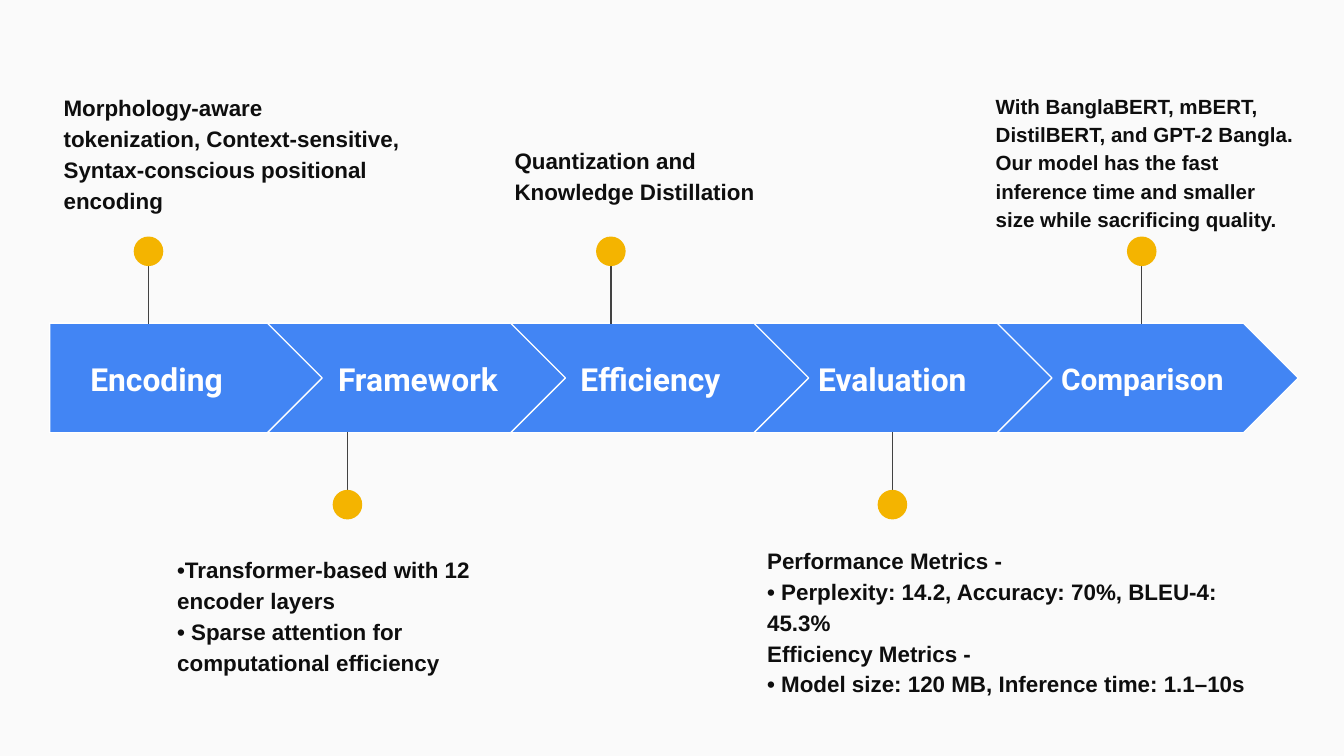
import dataclasses

import lxml.etree
import pptx
import pptx.dml.color
import pptx.enum.shapes
import pptx.enum.text
import pptx.oxml.ns
import pptx.util

SCALE = 4572


@dataclasses.dataclass(frozen=True)
class Theme:
    """Colours, fonts and type sizes of the slide."""

    background: str = "FAFAFA"
    step: str = "4285F4"
    label: str = "FFFFFF"
    pin: str = "F4B400"
    stem: str = "424242"
    note: str = "0E0E0E"
    label_font: str = "Roboto"
    note_font: str = "Arial"
    label_size: int = 17
    small_label_size: int = 16
    note_size: int = 12
    small_note_size: int = 11
    line_width: float = 0.75


@dataclasses.dataclass(frozen=True)
class Step:
    """One step of the process; label, pin and note start at its top left."""

    label: str
    label_left: int
    pin_left: int
    below: bool
    note_box: tuple
    note: tuple
    label_size: int = Theme.label_size
    note_size: int = Theme.note_size


THEME = Theme()
STEPS = (
    Step("Encoding", 0, 147, False, (1, -367, 548, 254),
         ("Morphology-aware tokenization, Context-sensitive, "
          "Syntax-conscious positional encoding",)),
    Step("Framework", 80, 119, True, (-154, 321, 586, 262),
         ("•Transformer-based with 12 encoder layers",
          "• Sparse attention for computational efficiency")),
    Step("Efficiency", 64, 149, False, (-14, -288, 490, 130),
         ("Quantization and Knowledge Distillation",)),
    Step("Evaluation", 62, 206, True, (0, 307, 788, 226),
         ("Performance Metrics -",
          "• Perplexity: 14.2, Accuracy: 70%, BLEU-4: 45.3%",
          "Efficiency Metrics -",
          "• Model size: 120 MB, Inference time: 1.1–10s")),
    Step("Comparison", 72, 215, False, (-22, -367, 490, 306),
         ("With BanglaBERT, mBERT, DistilBERT, and GPT-2 Bangla.",
          "Our model has the fast inference time and smaller size "
          "while sacrificing quality."),
         THEME.small_label_size, THEME.small_note_size),
)


def px(*lengths):
    """Turn px lengths into EMU."""
    return [pptx.util.Emu(length * SCALE) for length in lengths]


def rgb(colour):
    """Turn a hex string into a colour."""
    return pptx.dml.color.RGBColor.from_string(colour)


def add_text(slide, box, paragraphs, *, font, size, colour, spacing=1.0,
             align=pptx.enum.text.PP_ALIGN.LEFT,
             anchor=pptx.enum.text.MSO_ANCHOR.TOP):
    """Place bold paragraphs in a wrapping text box."""
    frame = slide.shapes.add_textbox(*px(*box)).text_frame
    frame.word_wrap = True
    frame.vertical_anchor = anchor
    (frame.margin_left, frame.margin_top,
     frame.margin_right, frame.margin_bottom) = px(20, 20, 20, 20)
    frame.text = "\n".join(paragraphs)
    for paragraph in frame.paragraphs:
        paragraph.alignment = align
        paragraph.line_spacing = spacing
        run = paragraph.runs[0]
        run.font.name = font
        run.font.size = pptx.util.Pt(size)
        run.font.bold = True
        run.font.color.rgb = rgb(colour)


def add_arrow(slide, box, preset):
    """Draw the arrow of one step."""
    arrow = slide.shapes.add_shape(preset, *px(*box))
    arrow.shadow.inherit = False
    arrow.fill.solid()
    arrow.fill.fore_color.rgb = rgb(THEME.step)
    arrow.line.color.rgb = rgb(THEME.label)
    arrow.line.width = pptx.util.Pt(THEME.line_width)


def add_pin(slide, box, offset, below):
    """Draw a stem and dot above or below the step's box."""
    left, top, width, height = box
    centre = left + offset
    edge, outward = (top + height, 1) if below else (top, -1)
    pin = slide.shapes.add_group_shape()
    stem = pin.shapes.add_connector(
        pptx.enum.shapes.MSO_CONNECTOR.STRAIGHT,
        *px(centre, edge + 120 * outward, centre, edge - outward))
    stem.line.color.rgb = rgb(THEME.stem)
    stem.line.width = pptx.util.Pt(THEME.line_width)
    lxml.etree.SubElement(stem._element.spPr, pptx.oxml.ns.qn("a:effectLst"))
    dot = pin.shapes.add_shape(
        pptx.enum.shapes.MSO_SHAPE.OVAL,
        *px(centre - 22, edge + 107 * outward - 22, 44, 44))
    dot.shadow.inherit = False
    dot.fill.solid()
    dot.fill.fore_color.rgb = rgb(THEME.pin)
    dot.line.fill.background()


def add_step(slide, box, step, preset, label_width):
    """Place the arrow, label, pin and note of one step."""
    left, top, width, height = box
    add_arrow(slide, box, preset)
    add_text(slide, (left + step.label_left, top + 31, label_width, 102),
             [step.label], font=THEME.label_font, size=step.label_size,
             colour=THEME.label, align=pptx.enum.text.PP_ALIGN.CENTER,
             anchor=pptx.enum.text.MSO_ANCHOR.MIDDLE)
    add_pin(slide, box, step.pin_left, step.below)
    note_left, note_top, note_width, note_height = step.note_box
    add_text(slide, (left + note_left, top + note_top, note_width, note_height),
             step.note, font=THEME.note_font, size=step.note_size,
             colour=THEME.note, spacing=1.15)


def add_process(slide, box):
    """Lay the steps out along the band, each overlapping the one before."""
    left, top, width, height = box
    chevron_width, pitch = 448, 362
    first_chevron = left + width - chevron_width - pitch * (len(STEPS) - 2)
    shapes = pptx.enum.shapes.MSO_SHAPE
    add_step(slide, (left, top, 410, height), STEPS[0], shapes.PENTAGON, 318)
    for index, step in enumerate(STEPS[1:]):
        step_box = (first_chevron + index * pitch, top, chevron_width, height)
        add_step(slide, step_box, step, shapes.CHEVRON, 288)


def main():
    """Build and save the slide."""
    deck = pptx.Presentation()
    deck.slide_width, deck.slide_height = px(2000, 1125)
    slide = deck.slides.add_slide(deck.slide_layouts[6])
    slide.background.fill.solid()
    slide.background.fill.fore_color.rgb = rgb(THEME.background)
    add_process(slide, (74, 481, 1858, 163))
    deck.save("out.pptx")


if __name__ == "__main__":
    main()
